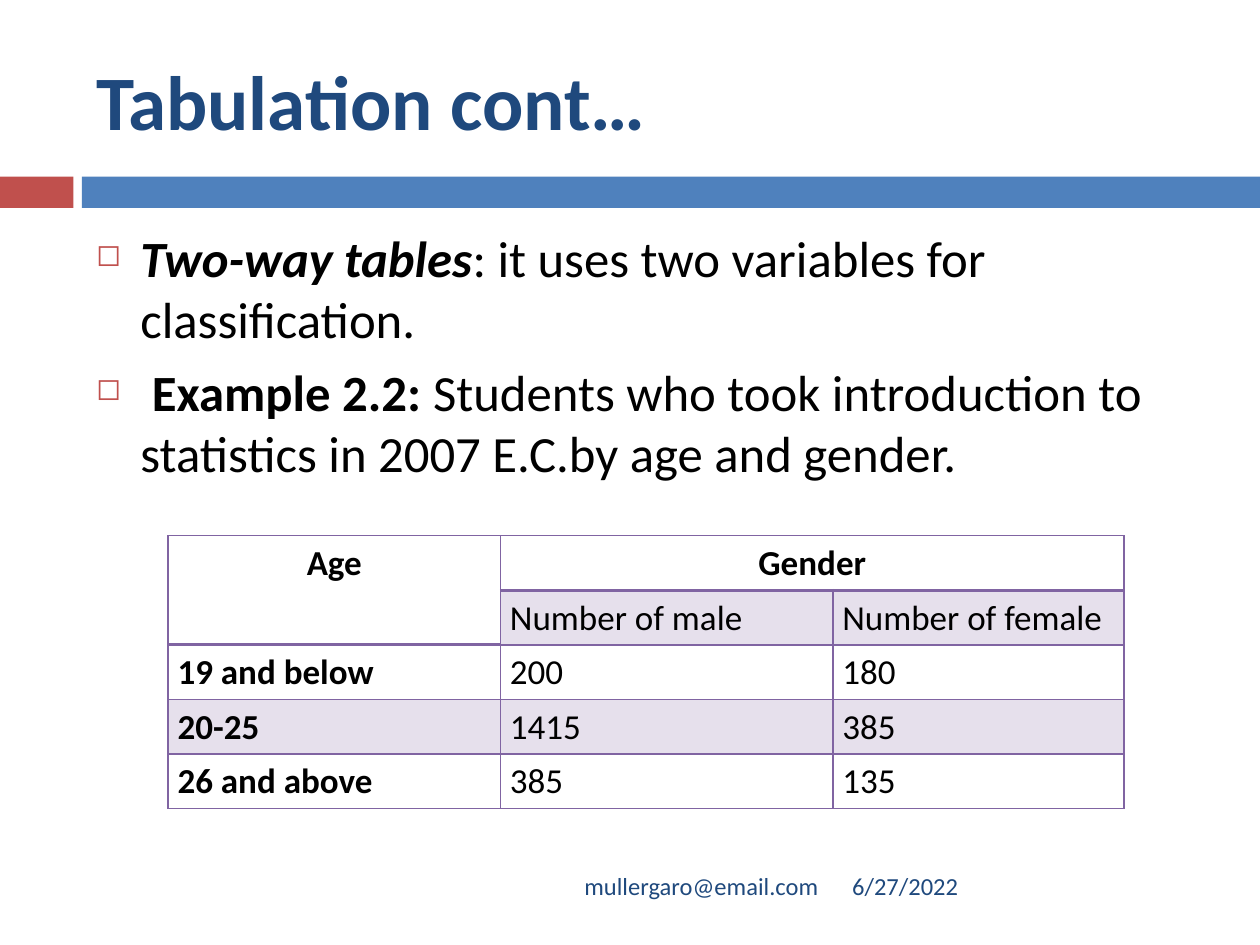
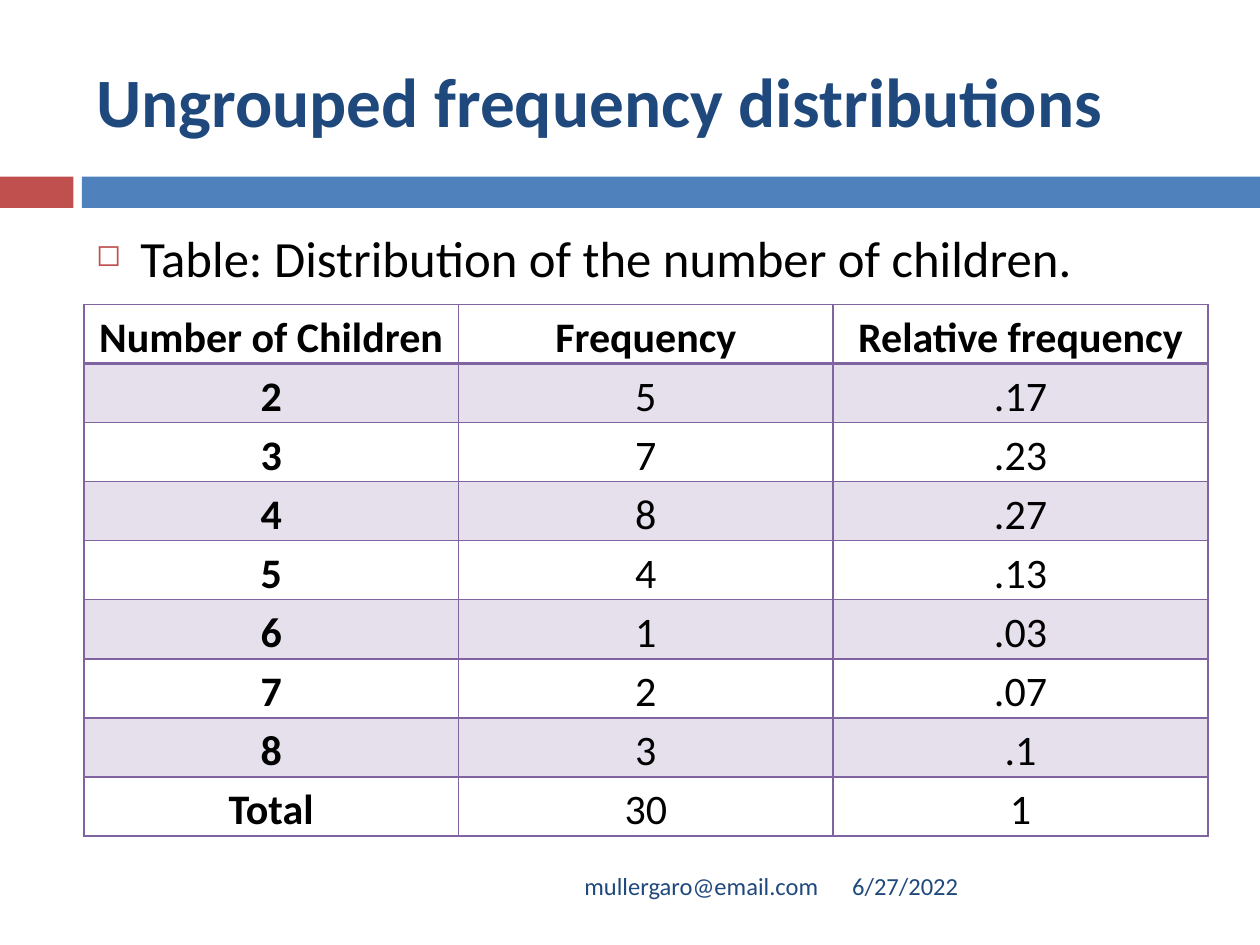
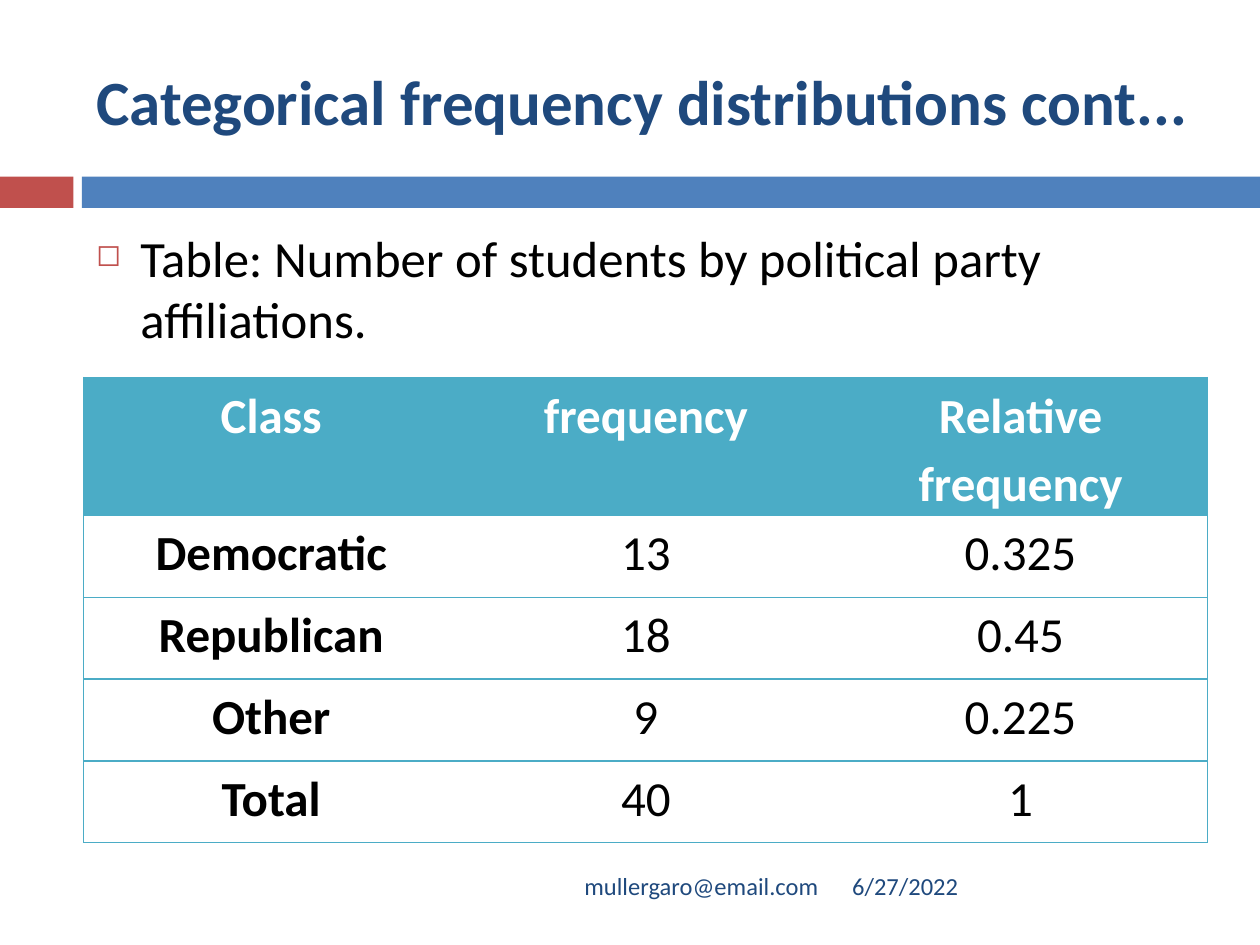
"""Builds three slides on tabulation and frequency distributions."""
from lxml import etree
from pptx import Presentation
from pptx.dml.color import RGBColor
from pptx.enum.shapes import MSO_SHAPE
from pptx.enum.text import MSO_ANCHOR, PP_ALIGN
from pptx.oxml.ns import qn
from pptx.util import Cm, Pt

RECT = MSO_SHAPE.RECTANGLE
TOP, MID = MSO_ANCHOR.TOP, MSO_ANCHOR.MIDDLE
LEFT, MIDDLE, RIGHT = PP_ALIGN.LEFT, PP_ALIGN.CENTER, PP_ALIGN.RIGHT

FONT = "Calibri"
NAVY, BLUE, RED = "1F497D", "4F81BD", "C0504D"
BLACK, WHITE = "000000", "FFFFFF"
PURPLE, LILAC, TEAL = "8064A2", "E6E0EC", "4BACC6"

EDGE, WIDE = 1.69, 22.66
BANDS = [(0, 1.48, RED), (1.65, 23.75, BLUE)]
FOOTS = [(EDGE, 15.06, "mullergaro@email.com", RIGHT), (16.93, 7.41, "6/27/2022", LEFT)]

GRID = {"line": PURPLE, "thick": 1, "rule": 2, "inner": True,
        "head": (WHITE, BLACK), "band": LILAC}
OPEN = {"line": TEAL, "thick": 0.79, "rule": 0.79, "inner": False,
        "head": (TEAL, WHITE), "band": WHITE}
THIRDS = [WIDE / 3] * 3

SLIDES = [
    {
        "title": "Tabulation cont…", "size": 44,
        "body": [
            [("Two-way tables", True, True),
             (": it uses two variables for classification.", False, False)],
            [(" Example 2.2:", True, False),
             (" Students who took introduction to statistics in 2007 E.C.by age and gender.",
              False, False)],
        ],
        "table": {
            "at": (3.39, 10.8), "cols": [6.7, 6.7, 5.87], "rows": [1.1] * 5,
            "size": 20, "align": LEFT, "style": GRID,
            "merge": [((0, 0), (1, 0)), ((0, 1), (0, 2))],
            "data": [
                ["Age", "Gender", ""],
                ["", "Number of male", "Number of female"],
                ["19 and below", "200", "180"],
                ["20-25", "1415", "385"],
                ["26 and above", "385", "135"],
            ],
        },
    },
    {
        "title": "Ungrouped frequency distributions", "size": 39.6,
        "body": [[("Table: Distribution of the number of children.", False, False)]],
        "table": {
            "at": (EDGE, 6.14), "cols": THIRDS, "rows": [1.19] * 9,
            "size": 24, "align": MIDDLE, "style": GRID, "merge": [],
            "data": [
                ["Number of Children", "Frequency", "Relative frequency"],
                ["2", "5", ".17"],
                ["3", "7", ".23"],
                ["4", "8", ".27"],
                ["5", "4", ".13"],
                ["6", "1", ".03"],
                ["7", "2", ".07"],
                ["8", "3", ".1"],
                ["Total", "30", "1"],
            ],
        },
    },
    {
        "title": "Categorical frequency distributions cont...", "size": 36,
        "body": [[("Table: Number of students by political party affiliations.",
                   False, False)]],
        "table": {
            "at": (EDGE, 7.61), "cols": THIRDS, "rows": [2.78] + [1.65] * 4,
            "size": 28, "align": MIDDLE, "style": OPEN, "merge": [],
            "data": [
                ["Class", "frequency", "Relative frequency"],
                ["Democratic", "13", "0.325"],
                ["Republican", "18", "0.45"],
                ["Other", "9", "0.225"],
                ["Total", "40", "1"],
            ],
        },
    },
]


def paint(fill, tone):
    fill.solid()
    fill.fore_color.rgb = RGBColor.from_string(tone)


def style(run, size, tone, bold=False, slant=False):
    font = run.font
    font.name, font.size = FONT, Pt(size)
    font.bold, font.italic = bold, slant
    font.color.rgb = RGBColor.from_string(tone)


def add_box(slide, left, top, wide, high, anchor):
    frame = slide.shapes.add_textbox(Cm(left), Cm(top), Cm(wide), Cm(high)).text_frame
    frame.word_wrap = True
    frame.vertical_anchor = anchor
    return frame


def add_line(slide, box, text, size, align=LEFT, bold=False):
    para = add_box(slide, *box, MID).paragraphs[0]
    para.text, para.alignment = text, align
    style(para.runs[0], size, NAVY, bold)


def add_bullet(para):
    props = para._p.get_or_add_pPr()
    props.set("marL", str(Cm(0.89)))
    props.set("indent", str(Cm(-0.89)))
    tint = etree.SubElement(props, qn("a:buClr"))
    etree.SubElement(tint, qn("a:srgbClr"), val=RED)
    etree.SubElement(props, qn("a:buSzPct"), val="60000")
    etree.SubElement(props, qn("a:buChar"), char="◻")


def add_body(slide, items):
    frame = add_box(slide, EDGE, 4.45, WIDE, 12.5, TOP)
    for pos, item in enumerate(items):
        para = frame.add_paragraph() if pos else frame.paragraphs[0]
        para.space_before = Pt(7)
        add_bullet(para)
        for text, bold, slant in item:
            run = para.add_run()
            run.text = text
            style(run, 29, BLACK, bold, slant)


def set_edge(cell, side, tone, thick):
    props = cell._tc.get_or_add_tcPr()
    edge = etree.Element(qn("a:ln" + side), w=str(Pt(thick)))
    if tone:
        solid = etree.SubElement(edge, qn("a:solidFill"))
        etree.SubElement(solid, qn("a:srgbClr"), val=tone)
    else:
        etree.SubElement(edge, qn("a:noFill"))
    props.insert(len(props) - 1, edge)


def fill_cell(cell, text, row, col, last, spec):
    look = spec["style"]
    head = row == 0
    band = look["band"] if row % 2 else WHITE
    back, ink = look["head"] if head else (band, BLACK)
    if (row, col) == (1, 0) and not text:
        back = WHITE
    paint(cell.fill, back)
    cell.margin_left = cell.margin_right = Cm(0.19)
    cell.margin_top = cell.margin_bottom = 0
    para = cell.text_frame.paragraphs[0]
    para.text = text
    para.alignment = MIDDLE if head else spec["align"]
    para.line_spacing = 1.15
    for run in para.runs:
        style(run, spec["size"], ink, head or col == 0)
    line, thick = look["line"], look["thick"]
    ruled = head or not text
    set_edge(cell, "L", line if look["inner"] or col == 0 else None, thick)
    set_edge(cell, "R", line if look["inner"] or col == last else None, thick)
    set_edge(cell, "T", line, look["rule"] if row == 1 and text else thick)
    set_edge(cell, "B", line, look["rule"] if ruled else thick)


def add_grid(slide, spec):
    data, cols, rows = spec["data"], spec["cols"], spec["rows"]
    left, top = spec["at"]
    table = slide.shapes.add_table(len(rows), len(cols), Cm(left), Cm(top),
                                   Cm(sum(cols)), Cm(sum(rows))).table
    table.first_row = table.horz_banding = False
    for part, wide in zip(table.columns, cols):
        part.width = Cm(wide)
    for part, high in zip(table.rows, rows):
        part.height = Cm(high)
    for row, line in enumerate(data):
        for col, text in enumerate(line):
            fill_cell(table.cell(row, col), text, row, col, len(cols) - 1, spec)
    for start, end in spec["merge"]:
        table.cell(*start).merge(table.cell(*end))


def add_frame(slide):
    for left, wide, tone in BANDS:
        band = slide.shapes.add_shape(RECT, Cm(left), Cm(3.56), Cm(wide), Cm(0.63))
        band.shadow.inherit = False
        paint(band.fill, tone)
        band.line.fill.background()
    for left, wide, text, align in FOOTS:
        add_line(slide, (left, 17.36, wide, 1.01), text, 14, align)


def main():
    deck = Presentation()
    deck.slide_width, deck.slide_height = Cm(25.4), Cm(19.05)
    for page in SLIDES:
        slide = deck.slides.add_slide(deck.slide_layouts[6])
        add_frame(slide)
        add_line(slide, (EDGE, 0.64, WIDE, 2.75), page["title"], page["size"], bold=True)
        add_body(slide, page["body"])
        add_grid(slide, page["table"])
    deck.save("out.pptx")


if __name__ == "__main__":
    main()
